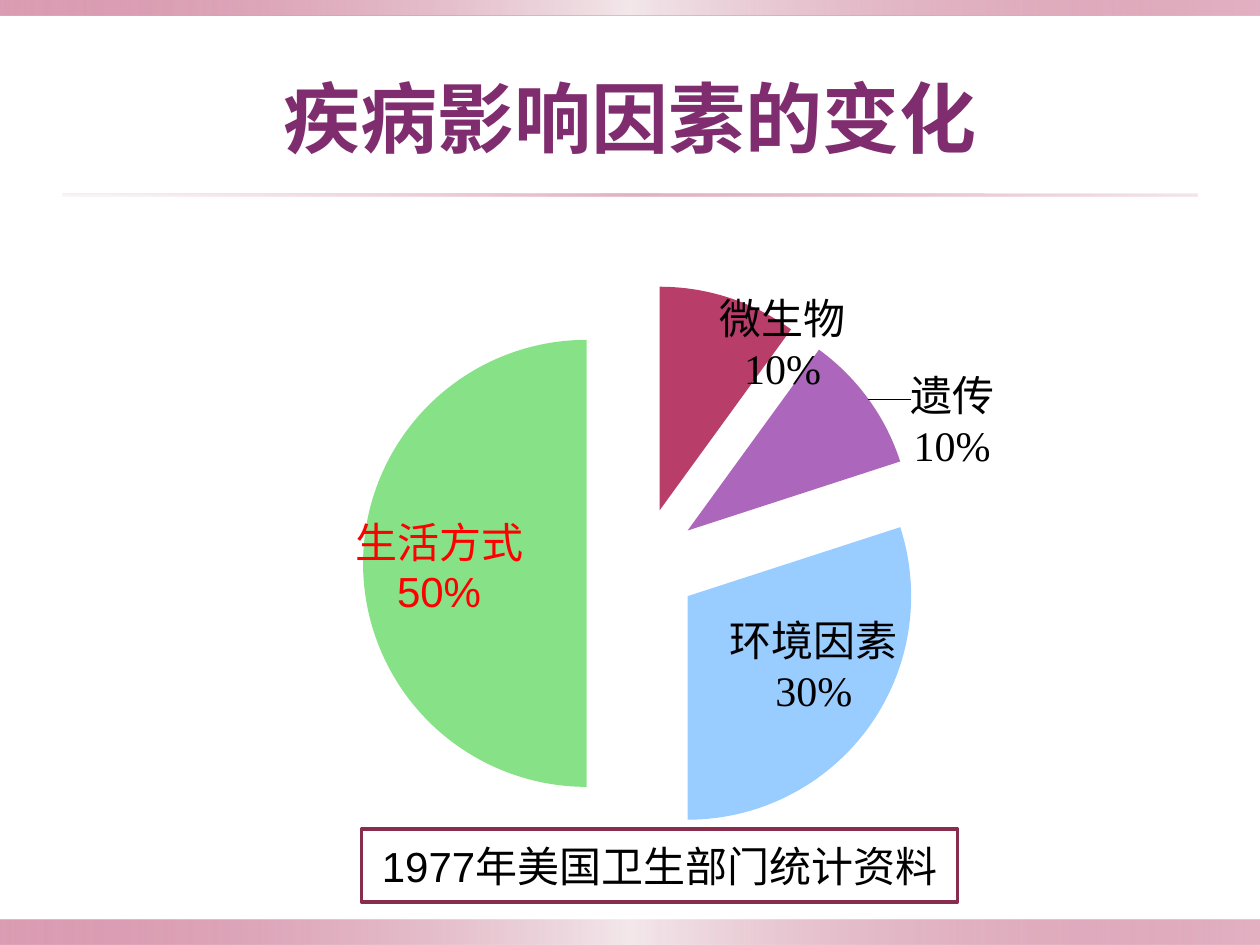
import pptx
import pptx.util
import pptx.oxml
import pptx.chart.data
import pptx.enum.chart
import pptx.enum.shapes
import pptx.enum.text
import pptx.oxml.ns
from dataclasses import dataclass
from lxml import etree
from pptx.dml.color import RGBColor

Inches = pptx.util.Inches
Spot = pptx.enum.chart.XL_LABEL_POSITION
qn = pptx.oxml.ns.qn


@dataclass
class Theme:
    rose: str = "B83D68"
    pale: str = "F3E8EB"
    blush: str = "E6CED4"
    edge: str = "882D4D"
    plum: str = "7F2D6F"
    black: str = "000000"
    white: str = "FFFFFF"
    red: str = "FF0000"
    pie: tuple = ("B83D68", "AC66BB", "99CCFF", "87E187")
    sans: str = "Arial"
    serif: str = "Times New Roman"
    head: int = 44
    body: int = 24


theme = Theme()


def write(frame, text, font=theme.sans, size=theme.body, color=theme.black, bold=False):
    frame.text = text
    for para in frame.paragraphs:
        para.alignment = pptx.enum.text.PP_ALIGN.CENTER
        for run in para.runs:
            run.font.name = font
            run.font.size = pptx.util.Pt(size)
            run.font.bold = bold
            run.font.color.rgb = RGBColor.from_string(color)


def place(**parts):
    layout = etree.Element(qn("c:layout"))
    manual = etree.SubElement(layout, qn("c:manualLayout"))
    for tag, value in parts.items():
        etree.SubElement(manual, qn("c:" + tag), val=str(value))
    return layout


deck = pptx.Presentation()
deck.slide_width, deck.slide_height = Inches(10), Inches(7.5)
slide = deck.slides.add_slide(deck.slide_layouts[5])
shapes = slide.shapes
rect = pptx.enum.shapes.MSO_SHAPE.RECTANGLE

band = [(0, theme.rose, 50), (50, theme.pale, 100), (100, theme.rose, 40)]
rule = [(0, theme.blush, 20), (50, theme.rose, 40), (100, theme.blush, 50)]
for left, top, width, height, stops in [
    (0, 7.3, 10, 0.2, band),
    (0, 0, 10, 0.12, band),
    (0.5, 1.54, 9, 0.02, rule),
]:
    bar = shapes.add_shape(rect, Inches(left), Inches(top), Inches(width), Inches(height))
    bar.shadow.inherit = False
    bar.line.fill.background()
    bar.fill.gradient()
    bar.fill.gradient_angle = 0
    ramp = next(bar.element.iter(qn("a:gsLst")))
    for old in list(ramp):
        ramp.remove(old)
    for pos, color, alpha in stops:
        stop = etree.SubElement(ramp, qn("a:gs"), pos=str(pos * 1000))
        tint = etree.SubElement(stop, qn("a:srgbClr"), val=color)
        etree.SubElement(tint, qn("a:alpha"), val=str(alpha * 1000))

title = shapes.title
title.left, title.top, title.width, title.height = map(Inches, (0.5, 0.3, 9, 1.25))
title.text_frame.vertical_anchor = pptx.enum.text.MSO_ANCHOR.MIDDLE
write(title.text_frame, "疾病影响因素的变化", size=theme.head, color=theme.plum, bold=True)

data = pptx.chart.data.CategoryChartData(number_format="0")
data.categories = ["微生物", "遗传", "环境", "生活方式"]
data.add_series("Series 1", (10, 10, 30, 50))
chart = shapes.add_chart(
    pptx.enum.chart.XL_CHART_TYPE.PIE,
    Inches(0.28), Inches(1.7), Inches(9.45), Inches(5.04), data,
).chart
chart.has_legend = False
chart.has_title = False
chart.font.name = theme.serif
chart.font.size = pptx.util.Pt(theme.body)
chart.font.color.rgb = RGBColor.from_string(theme.black)

area = next(chart.element.iter(qn("c:plotArea")))
for old in area.findall(qn("c:layout")):
    area.remove(old)
area.insert(0, place(
    layoutTarget="inner", xMode="edge", yMode="edge", x=0.03, y=0.11, w=0.96, h=0.88,
))

plot = chart.plots[0]
plot.vary_by_categories = True
series = plot.series[0]
burst = etree.Element(qn("c:explosion"), val="25")
next(chart.element.iter(qn("c:ser"))).find(qn("c:tx")).addnext(burst)

labels = series.data_labels
labels.show_value = False
labels.show_category_name = True
labels.show_percentage = True
labels.number_format = "0%"
labels.number_format_is_linked = False

spots = [Spot.INSIDE_END, Spot.OUTSIDE_END, Spot.CENTER, Spot.CENTER]
for index, (color, spot) in enumerate(zip(theme.pie, spots)):
    point = series.points[index]
    point.format.fill.solid()
    point.format.fill.fore_color.rgb = RGBColor.from_string(color)
    point.format.line.fill.background()
    label = point.data_label
    label.font.size = pptx.util.Pt(theme.body)
    label.position = spot

for index, text, font, color in [
    (2, "环境因素\n30%", theme.serif, theme.black),
    (3, "生活方式\n50%", theme.sans, theme.red),
]:
    write(series.points[index].data_label.text_frame, text, font=font, color=color)

flags = {"c:showVal": "0", "c:showCatName": "1", "c:showPercent": "1"}
shifts = [(0.1, -0.03), (0.03, 0.12), (0.03, 0), (-0.03, 0)]
for label, (x, y) in zip(chart.element.iter(qn("c:dLbl")), shifts):
    for tag, value in flags.items():
        label.find(qn(tag)).set("val", value)
    gap = etree.SubElement(label, qn("c:separator"))
    gap.text = "\n"
    for old in label.findall(qn("c:layout")):
        label.remove(old)
    label.find(qn("c:idx")).addnext(place(x=x, y=y))

note = shapes.add_shape(rect, Inches(2.87), Inches(6.58), Inches(4.73), Inches(0.58))
note.shadow.inherit = False
note.fill.solid()
note.fill.fore_color.rgb = RGBColor.from_string(theme.white)
note.line.color.rgb = RGBColor.from_string(theme.edge)
note.line.width = pptx.util.Pt(2)
note.text_frame.word_wrap = True
note.text_frame.vertical_anchor = pptx.enum.text.MSO_ANCHOR.MIDDLE
write(note.text_frame, "1977年美国卫生部门统计资料")

deck.save("out.pptx")
